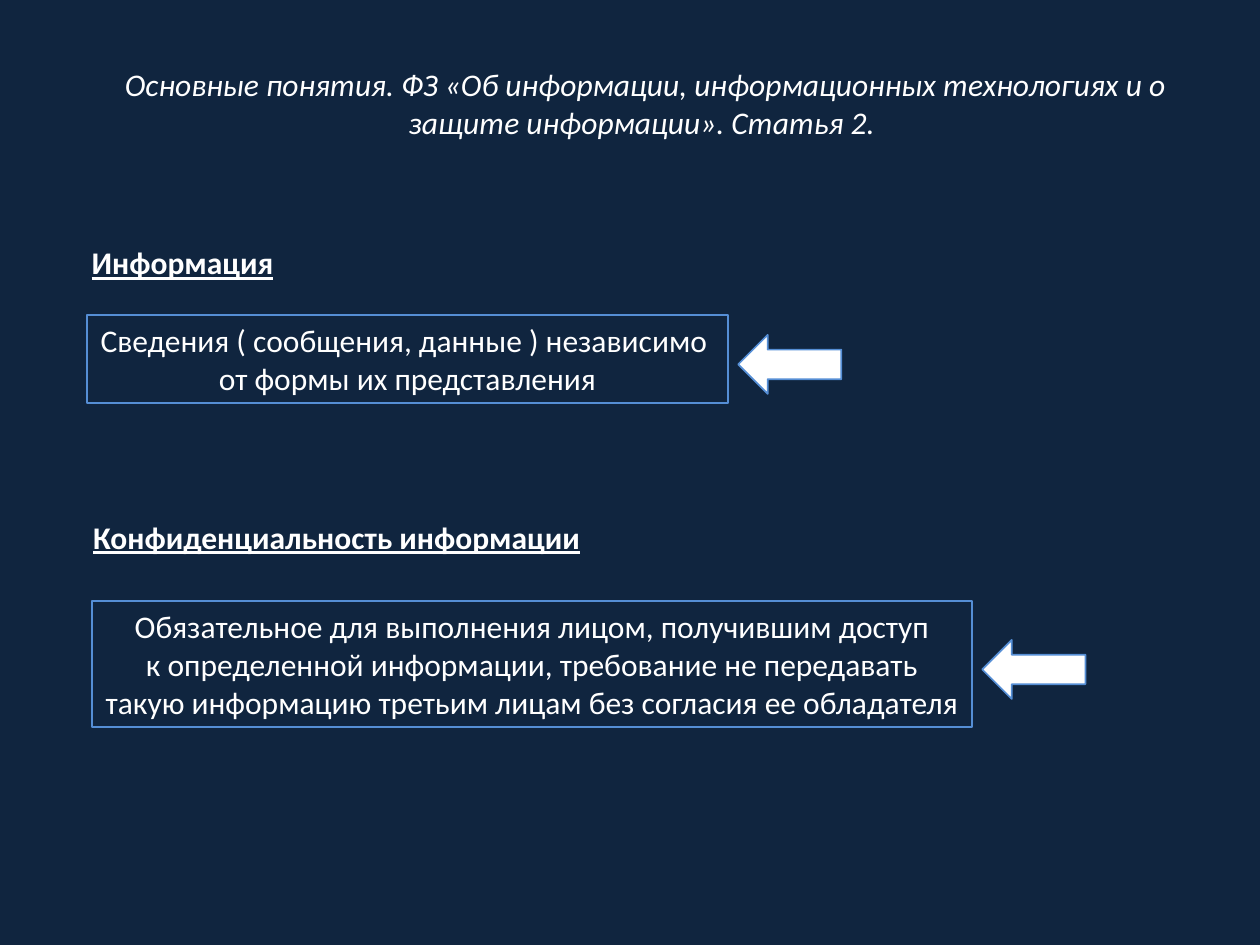
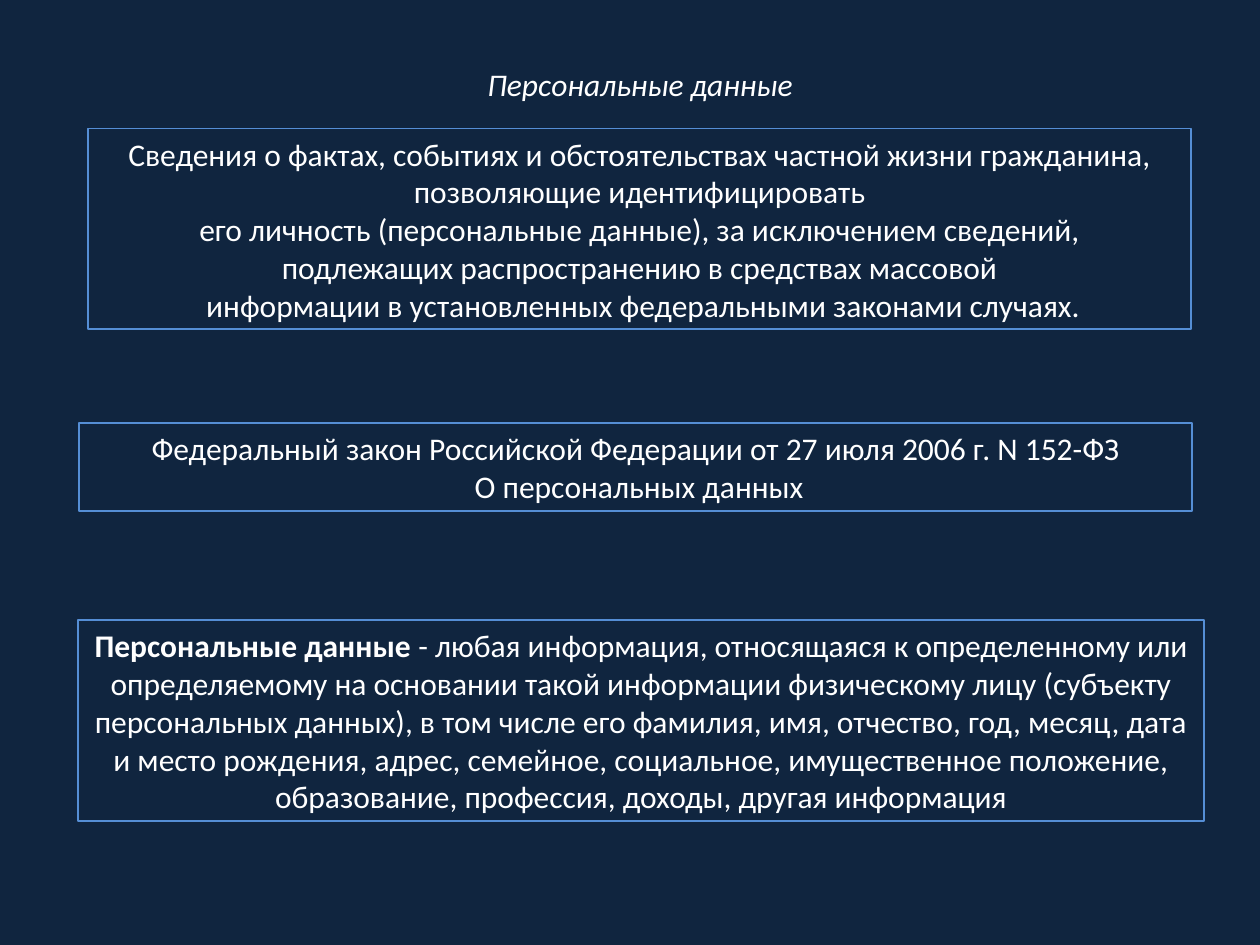
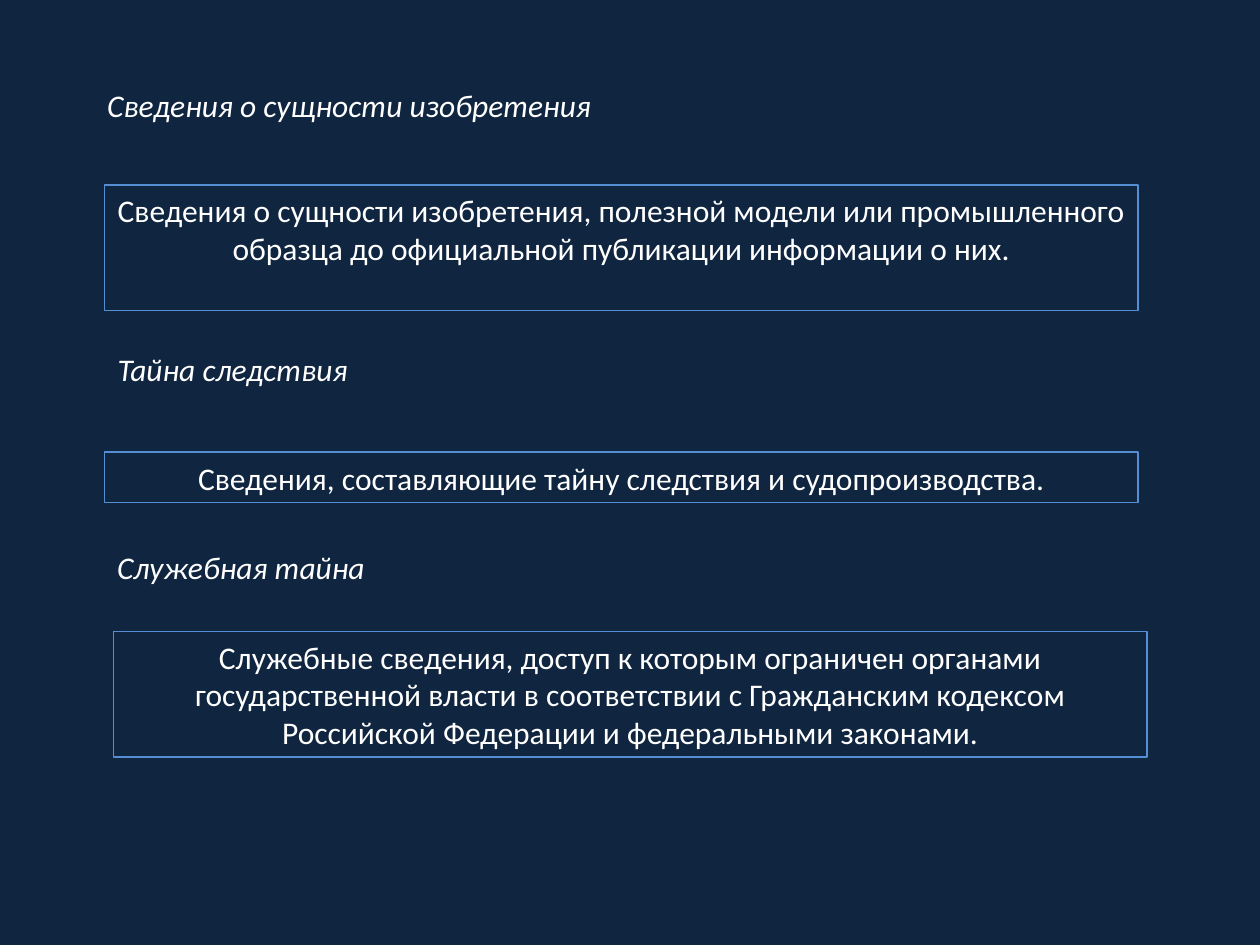
from dataclasses import dataclass
from pptx import Presentation
from pptx.dml.color import RGBColor
from pptx.enum.shapes import MSO_SHAPE
from pptx.enum.text import MSO_ANCHOR, PP_ALIGN
from pptx.util import Cm, Pt

RECT, ARROW = MSO_SHAPE.RECTANGLE, MSO_SHAPE.RIGHT_ARROW
LEFT, MID = PP_ALIGN.LEFT, PP_ALIGN.CENTER
TOP = MSO_ANCHOR.TOP


@dataclass(frozen=True)
class Theme:
    back: RGBColor = RGBColor(0x10, 0x25, 0x3F)
    ink: RGBColor = RGBColor(0xFF, 0xFF, 0xFF)
    edge: RGBColor = RGBColor(0x55, 0x8E, 0xD5)
    face: str = "Calibri"
    size: Pt = Pt(18)
    rule: Pt = Pt(1)


@dataclass(frozen=True)
class Style:
    bold: bool = False
    slant: bool = False
    under: bool = False
    align: PP_ALIGN = MID
    wrap: bool = True
    frame: bool = False
    arrow: bool = False


THEME = Theme()
STYLES = {
    "title": Style(slant=True),
    "label": Style(slant=True, align=LEFT),
    "term": Style(bold=True, under=True, align=LEFT, wrap=False),
    "fact": Style(wrap=False, frame=True, arrow=True),
    "box": Style(frame=True),
}

# Each part: style, left, top, width (cm), lines of height, paragraphs.
# A paragraph given as a pair opens with a bold lead.
SLIDES = [
    [
        ("term", 1.6, 4.78, 4.17, 1, ["Информация"]),
        ("fact", 1.75, 6.35, 12.93, 2, [
            "Сведения ( сообщения, данные ) независимо ",
            "от формы их представления"]),
        ("term", 1.63, 10.31, 10.34, 1, ["Конфиденциальность информации"]),
        ("fact", 1.85, 12.12, 17.75, 3, [
            "Обязательное для выполнения лицом, получившим доступ",
            "к определенной информации, требование не передавать",
            "такую информацию третьим лицам без согласия ее обладателя"]),
        ("title", 1.4, 1.19, 23.22, 2, [
            "Основные понятия. ФЗ «Об информации, информационных технологиях "
            "и о защите информации». Статья 2. "]),
    ],
    [
        ("title", 8.74, 1.19, 8.33, 1, ["Персональные данные"]),
        ("box", 1.6, 8.53, 22.43, 2, [
            "Федеральный закон Российской Федерации от 27 июля 2006 г. "
            "N 152-ФЗ",
            " О персональных данных"]),
        ("box", 1.78, 2.59, 22.23, 5, [
            "Сведения о фактах, событиях и обстоятельствах частной жизни "
            "гражданина, позволяющие идентифицировать",
            " его личность (персональные данные), за исключением сведений, ",
            "подлежащих распространению в средствах массовой",
            " информации в установленных федеральными законами случаях."]),
        ("box", 1.57, 12.5, 22.71, 5, [
            ("Персональные данные",
             " - любая информация, относящаяся к определенному или "
             "определяемому на основании такой информации физическому лицу "
             "(субъекту персональных данных), в том числе его фамилия, имя, "
             "отчество, год, месяц, дата и место рождения, адрес, семейное, "
             "социальное, имущественное положение, образование, профессия, "
             "доходы, другая информация")]),
    ],
    [
        ("title", 1.78, 1.6, 10.52, 1, ["Сведения о сущности изобретения"]),
        ("box", 2.11, 3.73, 20.83, 3, [
            "Сведения о сущности изобретения, полезной модели или "
            "промышленного образца до официальной публикации информации "
            "о них."]),
        ("title", 2.11, 6.93, 5.16, 2, ["Тайна следствия"]),
        ("box", 2.11, 9.12, 20.83, 1, [
            "Сведения, составляющие тайну следствия и судопроизводства."]),
        ("label", 2.11, 10.92, 6.76, 1, ["Служебная тайна"]),
        ("box", 2.29, 12.73, 20.83, 3, [
            "Служебные сведения, доступ к которым ограничен органами "
            "государственной власти в соответствии с Гражданским кодексом "
            "Российской Федерации и федеральными законами."]),
    ],
]

LINE, PAD = 0.76, 0.25            # height of a text line, total inset
TIP_W, TIP_H = 2.08, 1.19         # arrow size
GAP, DROP = 0.2, 0.11             # arrow offset from its box


def add_form(slide, kind, *area):
    form = slide.shapes.add_shape(kind, *map(Cm, area))
    form.shadow.inherit = False
    form.fill.background()
    form.line.color.rgb = THEME.edge
    form.line.width = THEME.rule
    return form


def add_arrow(slide, right, mid):
    arrow = add_form(slide, ARROW, right + GAP, mid + DROP - TIP_H / 2,
                     TIP_W, TIP_H)
    arrow.rotation = 180
    arrow.fill.solid()
    arrow.fill.fore_color.rgb = THEME.ink


def write(frame, style, paras):
    frame.word_wrap = style.wrap
    frame.vertical_anchor = TOP
    for i, text in enumerate(paras):
        para = frame.paragraphs[0] if i == 0 else frame.add_paragraph()
        para.alignment = style.align
        font = para.font
        font.name, font.size = THEME.face, THEME.size
        font.color.rgb = THEME.ink
        font.bold, font.italic = style.bold, style.slant
        font.underline = style.under
        lead, rest = text if isinstance(text, tuple) else ("", text)
        if lead:
            run = para.add_run()
            run.text, run.font.bold = lead, True
        para.add_run().text = rest


def add_part(slide, name, left, top, width, lines, paras):
    style = STYLES[name]
    high = lines * LINE + PAD
    area = left, top, width, high
    if style.frame:
        form = add_form(slide, RECT, *area)
    else:
        form = slide.shapes.add_textbox(*map(Cm, area))
    write(form.text_frame, style, paras)
    if style.arrow:
        add_arrow(slide, left + width, top + high / 2)


def main():
    prs = Presentation()
    prs.slide_width, prs.slide_height = Cm(25.4), Cm(19.05)
    # Shared background
    fill = prs.slide_master.background.fill
    fill.solid()
    fill.fore_color.rgb = THEME.back
    # Slides
    for parts in SLIDES:
        slide = prs.slides.add_slide(prs.slide_layouts[6])
        for part in parts:
            add_part(slide, *part)
    prs.save("out.pptx")


if __name__ == "__main__":
    main()
